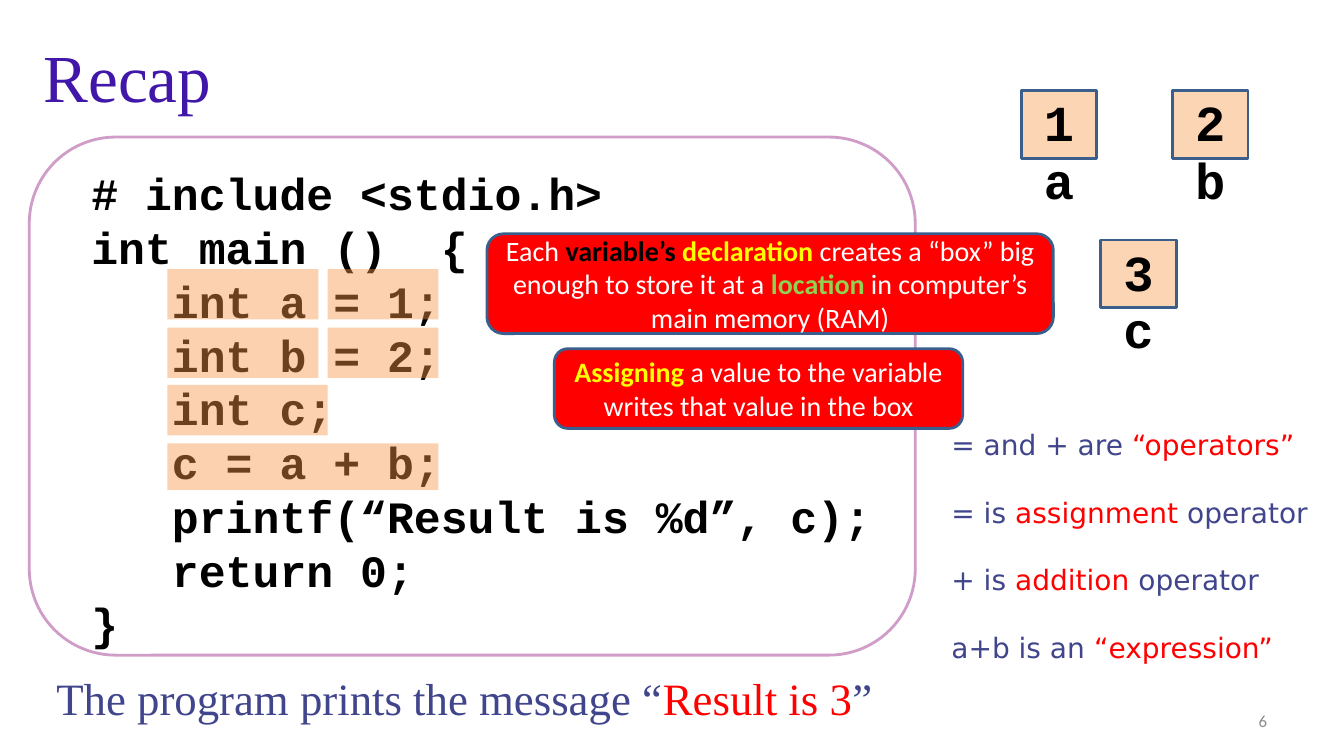
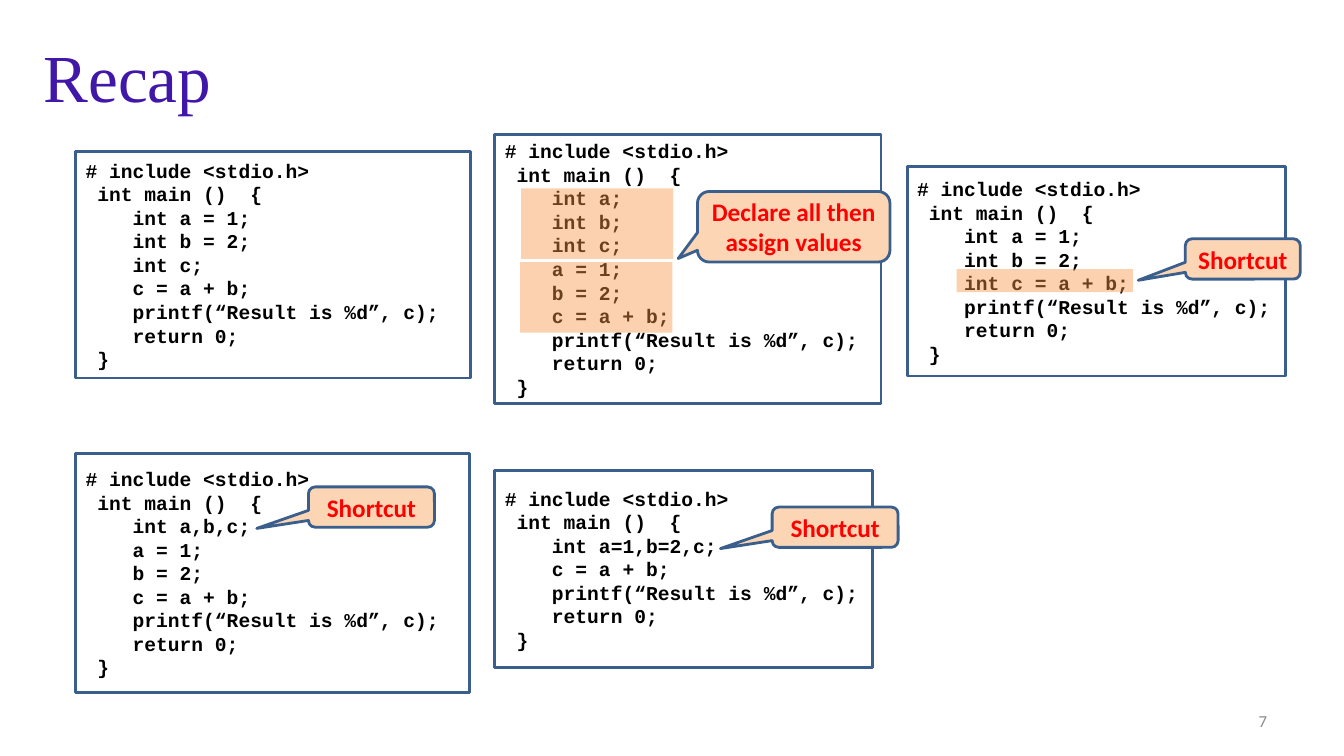
from pptx import Presentation
from pptx.dml.color import RGBColor
from pptx.enum.shapes import MSO_SHAPE
from pptx.enum.text import MSO_ANCHOR, PP_ALIGN
from pptx.oxml.xmlchemy import OxmlElement
from pptx.util import Pt

RECT = MSO_SHAPE.RECTANGLE
ROUNDED = MSO_SHAPE.ROUNDED_RECTANGLE
CALLOUT = MSO_SHAPE.ROUNDED_RECTANGULAR_CALLOUT
LEFT, CENTER, RIGHT = PP_ALIGN.LEFT, PP_ALIGN.CENTER, PP_ALIGN.RIGHT
TOP, MIDDLE = MSO_ANCHOR.TOP, MSO_ANCHOR.MIDDLE
TITLE_ONLY = 5

INK, WHITE, RED, YELLOW, GREEN = "000000", "FFFFFF", "FF0000", "FFFF00", "92D050"
PURPLE, INDIGO, GRAY, LILAC = "4117A9", "40458C", "8C8C8C", "CF9DC7"
PEACH, ORANGE, BLUE = "FCD5B5", "F79646", "3A5F8C"
SERIF, SANS, MONO, NOTE = "Times New Roman", "Calibri", "Courier New", "DejaVu Sans"

TITLE = "Recap"
TITLE_AREA = (24, 24, 864, 60)
NUMBER_AREA = (688.3, 500.4, 223.9, 28.8)
FIRST_NUMBER = 6

PROGRAM = """ # include <stdio.h>
 int main ()  {
    int a = 1;
    int b = 2;
    int c;
    c = a + b;
    printf(“Result is %d”, c);
    return 0;
 }"""
PROGRAM_AREA = (20.9, 97.9, 632.9, 370.1)

MESSAGE = [[("The program prints the message “", INDIGO), ("Result is 3", RED), ("”", INDIGO)]]
MESSAGE_AREA = (33.1, 475.2, 750.2, 46.1)

OPERATORS = [
    [("= and + are ", INDIGO), ("“operators”", RED)],
    [("= is ", INDIGO), ("assignment", RED), (" operator", INDIGO)],
    [("+ is ", INDIGO), ("addition", RED), (" operator", INDIGO)],
    [("a+b is an ", INDIGO), ("“expression”", RED)],
]
OPERATORS_AREA = (672.5, 301.7, 270.7, 177.1)

VARIABLES = [("a", "1", 729.4, 64.8), ("b", "2", 837.4, 64.8), ("c", "3", 786.2, 171.4)]
CELL_WIDTH, CELL_HEIGHT, NAME_DROP, NAME_HEIGHT = 54, 48.2, 38.2, 51.1

PROGRAM_MARKS = [
    (119.5, 192.2, 108, 36), (234, 192.2, 79.2, 36),
    (119.5, 234, 108, 36), (234, 234, 79.2, 36),
    (119.5, 275, 114.5, 36), (119.5, 316.8, 193.7, 33.1),
]

REMARKS = [
    ((347.8, 167, 404.6, 71.3), [
        [("Each ", WHITE), ("variable’s ", INK, True), ("declaration", YELLOW, True),
         (" creates a “box” big enough to store it at a ", WHITE),
         ("location", GREEN, True), (" in computer’s", WHITE)],
        [("main memory (RAM)", WHITE)],
    ]),
    ((396, 249.1, 291.6, 56.9), [
        [("Assigning", YELLOW, True),
         (" a value to the variable writes that value in the box", WHITE)],
    ]),
]

OPENING = ["# include <stdio.h>", " int main ()  {"]
CLOSING = ["    printf(“Result is %d”, c);", "    return 0;", " }"]
VARIANTS = [
    ((54, 108, 282.2, 162), ["int a = 1;", "int b = 2;", "int c;", "c = a + b;"]),
    ((648, 118.8, 270, 149.8), ["int a = 1;", "int b = 2;", "int c = a + b;"]),
    ((353.5, 95.8, 275.8, 192.2),
     ["int a;", "int b;", "int c;", "a = 1;", "b = 2;", "c = a + b;"]),
    ((54, 324, 281.5, 170.6), ["int a,b,c;", "a = 1;", "b = 2;", "c = a + b;"]),
    ((353.5, 336.2, 270, 140.4), ["int a=1,b=2,c;", "c = a + b;"]),
]
VARIANT_MARKS = [(683.3, 192.2, 126, 16.6), (372.2, 134.6, 108.7, 50.4),
                 (371.5, 187.2, 108.7, 50.4)]
SHORTCUT_TIP = (-0.91, 0.53)
CALLOUTS = [
    ("Shortcut", (220.3, 347.8, 90, 28.8), SHORTCUT_TIP),
    ("Shortcut", (551.5, 362.2, 90, 28.8), SHORTCUT_TIP),
    ("Shortcut", (846.7, 170.6, 82.1, 28.8), SHORTCUT_TIP),
    ("Declare all then assign values", (498.2, 136.8, 137.5, 50.4), (-0.6, 0.45)),
]


def color(value):
    """Turn a hex string into a colour."""
    return RGBColor.from_string(value)


def points(area):
    """Turn plain numbers into lengths in points."""
    return [Pt(value) for value in area]


def write(shape, paragraphs, size, font, align=LEFT, anchor=MIDDLE, gap=0, wrap=True):
    """Write paragraphs of (text, colour, bold) spans into a shape."""
    frame = shape.text_frame
    frame.word_wrap = wrap
    frame.vertical_anchor = anchor
    for index, spans in enumerate(paragraphs):
        para = frame.add_paragraph() if index else frame.paragraphs[0]
        para.alignment = align
        if index and gap:
            para.space_before = Pt(gap)
        for text, ink, *bold in spans:
            span = para.add_run()
            span.text = text
            span.font.size = Pt(size)
            span.font.name = font
            span.font.bold = bool(bold)
            span.font.color.rgb = color(ink)
    return frame


def add_shape(page, kind, area, fill=None, line=None):
    """Add a preset shape without shadow or vertical insets."""
    shape = page.shapes.add_shape(kind, *points(area))
    shape.shadow.inherit = False
    shape.text_frame.margin_top = shape.text_frame.margin_bottom = 0
    if fill:
        shape.fill.solid()
        shape.fill.fore_color.rgb = color(fill)
    else:
        shape.fill.background()
    if line:
        shape.line.color.rgb = color(line)
        shape.line.width = Pt(2)
    else:
        shape.line.fill.background()
    return shape


def add_text(page, area, paragraphs, size, font, **style):
    """Add a text box."""
    return write(page.shapes.add_textbox(*points(area)), paragraphs, size, font, **style)


def add_mark(page, area):
    """Add a translucent highlight."""
    mark = add_shape(page, RECT, area, ORANGE)
    alpha = OxmlElement("a:alpha")
    alpha.set("val", "43000")
    mark.element.spPr.find(".//{*}srgbClr").append(alpha)


def code(lines):
    """Turn code lines into bold paragraphs."""
    return [[(line, INK, True)] for line in lines]


def add_page(deck, number):
    """Add a page with the shared title and number."""
    page = deck.slides.add_slide(deck.slide_layouts[TITLE_ONLY])
    title = page.shapes.title
    title.left, title.top, title.width, title.height = points(TITLE_AREA)
    write(title, [[(TITLE, PURPLE)]], 48, SERIF)
    add_text(page, NUMBER_AREA, [[(str(number), GRAY)]], 12, SANS, align=RIGHT)
    return page


def fill_program_page(page):
    """Show the program, its variables and the remarks."""
    panel = add_shape(page, ROUNDED, PROGRAM_AREA, WHITE, LILAC)
    write(panel, code(PROGRAM.split("\n")), 32, MONO).margin_top = Pt(17)
    add_text(page, MESSAGE_AREA, MESSAGE, 32, SERIF, anchor=TOP)
    for name, value, left, top in VARIABLES:
        cell = add_shape(page, RECT, (left, top, CELL_WIDTH, CELL_HEIGHT), PEACH, BLUE)
        write(cell, code([value]), 36, MONO, align=CENTER).margin_bottom = Pt(4)
        add_text(page, (left, top + NAME_DROP, CELL_WIDTH, NAME_HEIGHT), code([name]),
                 36, MONO, align=CENTER, anchor=TOP)
    for area in PROGRAM_MARKS:
        add_mark(page, area)
    add_text(page, OPERATORS_AREA, OPERATORS, 20, NOTE, anchor=TOP, gap=24.4, wrap=False)
    for area, paragraphs in REMARKS:
        write(add_shape(page, ROUNDED, area, RED, BLUE), paragraphs, 20, SANS, align=CENTER)


def fill_variants_page(page):
    """Show the variants of the program and their callouts."""
    for area, body in VARIANTS:
        lines = OPENING + ["    " + line for line in body] + CLOSING
        write(add_shape(page, RECT, area, line=BLUE), code(lines), 14, MONO)
    for text, area, tip in CALLOUTS:
        callout = add_shape(page, CALLOUT, area, PEACH, BLUE)
        callout.adjustments[0], callout.adjustments[1] = tip
        write(callout, [[(text, RED, True)]], 18, SANS, align=CENTER)
    for area in VARIANT_MARKS:
        add_mark(page, area)


def main():
    """Build and save the deck."""
    deck = Presentation()
    deck.slide_width, deck.slide_height = Pt(960), Pt(540)
    for number, fill_page in enumerate((fill_program_page, fill_variants_page), FIRST_NUMBER):
        fill_page(add_page(deck, number))
    deck.save("out.pptx")


if __name__ == "__main__":
    main()
